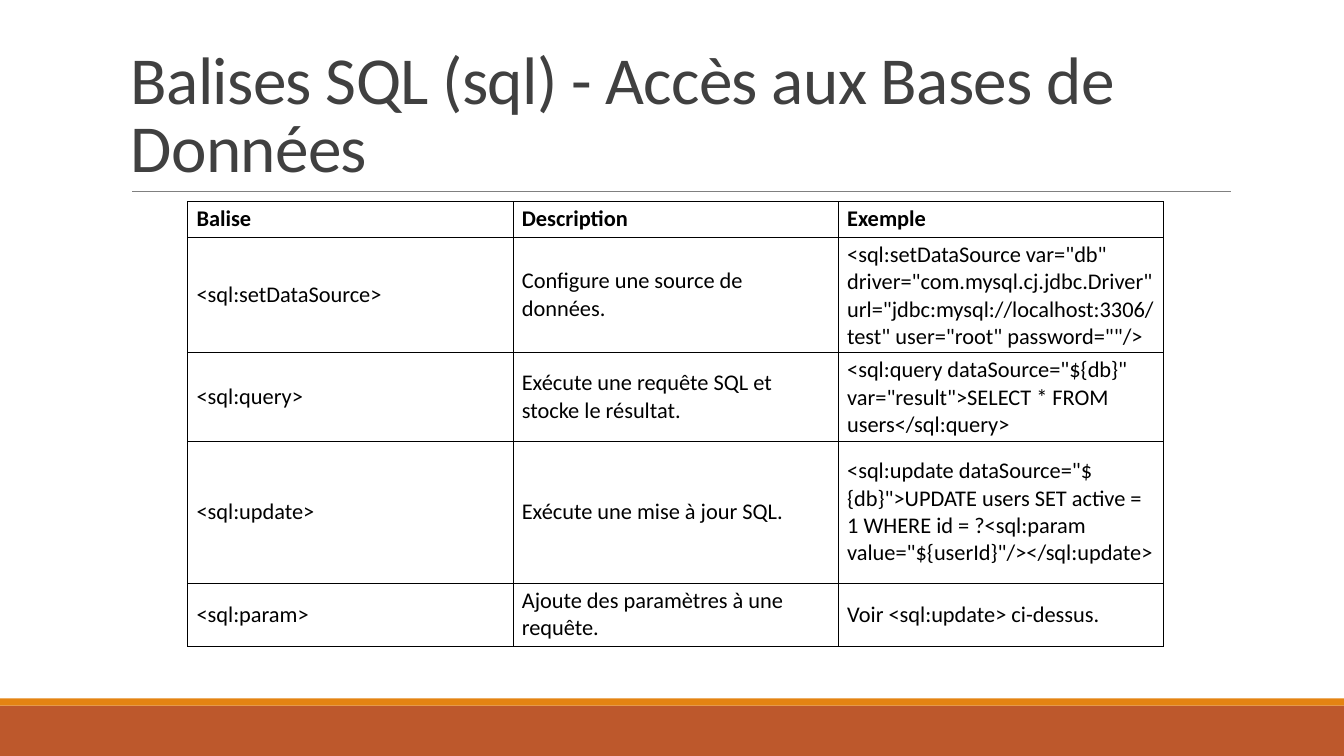
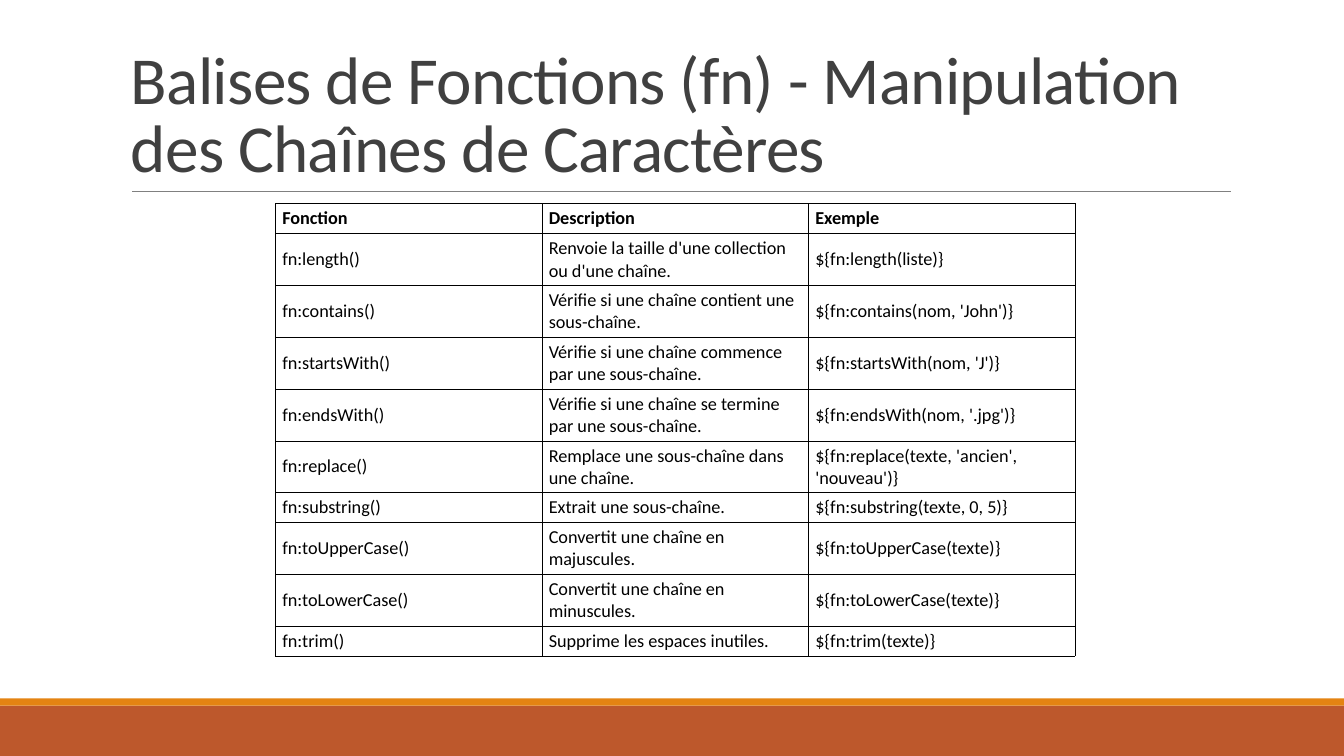
from lxml.etree import SubElement
from pptx import Presentation
from pptx.dml.color import RGBColor
from pptx.enum.shapes import MSO_CONNECTOR, MSO_SHAPE
from pptx.enum.text import MSO_ANCHOR
from pptx.oxml.ns import qn
from pptx.util import Inches, Pt

FONT = "Calibri"
BLACK = RGBColor(0x00, 0x00, 0x00)
TITLE_GREY = RGBColor(0x40, 0x40, 0x40)
RULE_GREY = RGBColor(0x80, 0x80, 0x80)
RUST = RGBColor(0xBD, 0x58, 0x2C)
ORANGE = RGBColor(0xE4, 0x83, 0x12)

SQL_TAGS = [
    (0.35, "Balise", "Description", "Exemple"),
    (1.14, "<sql:setDataSource>", "Configure une source de données.",
     '<sql:setDataSource var="db" driver="com.mysql.cj.jdbc.Driver" '
     'url="jdbc:mysql://localhost:3306/test" user="root" password=""/>'),
    (0.88, "<sql:query>", "Exécute une requête SQL et stocke le résultat.",
     '<sql:query dataSource="${db}" var="result">SELECT * FROM users</sql:query>'),
    (1.41, "<sql:update>", "Exécute une mise à jour SQL.",
     '<sql:update dataSource="${db}">UPDATE users SET active = 1 WHERE id = ?'
     '<sql:param value="${userId}"/></sql:update>'),
    (0.62, "<sql:param>", "Ajoute des paramètres à une requête.",
     "Voir <sql:update> ci-dessus."),
]

ONE_LINE, TWO_LINES = 0.29, 0.5
STRING_FUNCTIONS = [
    (ONE_LINE, "Fonction", "Description", "Exemple"),
    (TWO_LINES, "fn:length()", "Renvoie la taille d'une collection ou d'une chaîne.",
     "${fn:length(liste)}"),
    (TWO_LINES, "fn:contains()", "Vérifie si une chaîne contient une sous-chaîne.",
     "${fn:contains(nom, 'John')}"),
    (TWO_LINES, "fn:startsWith()", "Vérifie si une chaîne commence par une sous-chaîne.",
     "${fn:startsWith(nom, 'J')}"),
    (TWO_LINES, "fn:endsWith()", "Vérifie si une chaîne se termine par une sous-chaîne.",
     "${fn:endsWith(nom, '.jpg')}"),
    (TWO_LINES, "fn:replace()", "Remplace une sous-chaîne dans une chaîne.",
     "${fn:replace(texte, 'ancien', 'nouveau')}"),
    (ONE_LINE, "fn:substring()", "Extrait une sous-chaîne.",
     "${fn:substring(texte, 0, 5)}"),
    (TWO_LINES, "fn:toUpperCase()", "Convertit une chaîne en majuscules.",
     "${fn:toUpperCase(texte)}"),
    (TWO_LINES, "fn:toLowerCase()", "Convertit une chaîne en minuscules.",
     "${fn:toLowerCase(texte)}"),
    (ONE_LINE, "fn:trim()", "Supprime les espaces inutiles.", "${fn:trim(texte)}"),
]


class Deck:
    """Holds the shared style and the slide being built."""

    def __init__(self):
        self.presentation = Presentation()
        self.presentation.slide_width = Inches(13.33)
        self.presentation.slide_height = Inches(7.5)
        self.slide = None

    def add_slide(self, title):
        self.slide = self.presentation.slides.add_slide(
            self.presentation.slide_layouts[6])
        self.band(7, 0.5, RUST)
        self.band(6.93, 0.07, ORANGE)
        self.rule()
        self.title(title)

    def band(self, top, height, color):
        band = self.slide.shapes.add_shape(
            MSO_SHAPE.RECTANGLE, 0, Inches(top),
            self.presentation.slide_width, Inches(height))
        band.shadow.inherit = False
        band.fill.solid()
        band.fill.fore_color.rgb = color
        band.line.fill.background()

    def rule(self):
        rule = self.slide.shapes.add_connector(
            MSO_CONNECTOR.STRAIGHT,
            Inches(1.31), Inches(1.9), Inches(12.21), Inches(1.9))
        rule.line.color.rgb = RULE_GREY
        rule.line.width = Pt(0.5)
        SubElement(rule._element.spPr, qn("a:effectLst"))

    def title(self, text):
        frame = self.slide.shapes.add_textbox(
            Inches(1.2), Inches(0.31), Inches(11), Inches(1.59)).text_frame
        frame.word_wrap = True
        frame.vertical_anchor = MSO_ANCHOR.BOTTOM
        paragraph = frame.paragraphs[0]
        paragraph.line_spacing = 0.85
        run = paragraph.add_run()
        run.text = text
        run._r.get_or_add_rPr().set("spc", "-50")
        self.style(paragraph, 48, TITLE_GREY)

    def style(self, paragraph, size, color, bold=False):
        font = paragraph.font
        font.name = FONT
        font.size = Pt(size)
        font.color.rgb = color
        font.bold = bold

    def table(self, left, top, width, rows, size, side_margin):
        columns = len(rows[0]) - 1
        height = sum(row[0] for row in rows)
        table = self.slide.shapes.add_table(
            len(rows), columns, Inches(left), Inches(top),
            Inches(width), Inches(height)).table
        table.horz_banding = False
        for column in table.columns:
            column.width = Inches(width / columns)
        for index, (row_height, *texts) in enumerate(rows):
            table.rows[index].height = Inches(row_height)
            for cell, text in zip(table.rows[index].cells, texts):
                self.cell(cell, text, size, side_margin, bold=index == 0)

    def cell(self, cell, text, size, side_margin, bold):
        cell.text = text
        cell.vertical_anchor = MSO_ANCHOR.MIDDLE
        cell.margin_left = cell.margin_right = Inches(side_margin)
        cell.margin_top = cell.margin_bottom = Inches(0.04)
        self.style(cell.text_frame.paragraphs[0], size, BLACK, bold)
        self.borders(cell)
        cell.fill.background()

    def borders(self, cell):
        properties = cell._tc.get_or_add_tcPr()
        for side in ("lnL", "lnR", "lnT", "lnB"):
            line = SubElement(properties, qn(f"a:{side}"), w=str(Pt(0.25)))
            fill = SubElement(line, qn("a:solidFill"))
            SubElement(fill, qn("a:srgbClr"), val=str(BLACK))


def main():
    deck = Deck()
    deck.add_slide("Balises SQL (sql) - Accès aux Bases de Données")
    deck.table(1.86, 2, 9.68, SQL_TAGS, size=16, side_margin=0.09)
    deck.add_slide("Balises de Fonctions (fn) - Manipulation des Chaînes de Caractères")
    deck.table(2.73, 2.02, 7.93, STRING_FUNCTIONS, size=13, side_margin=0.07)
    deck.presentation.save("out.pptx")


if __name__ == "__main__":
    main()
